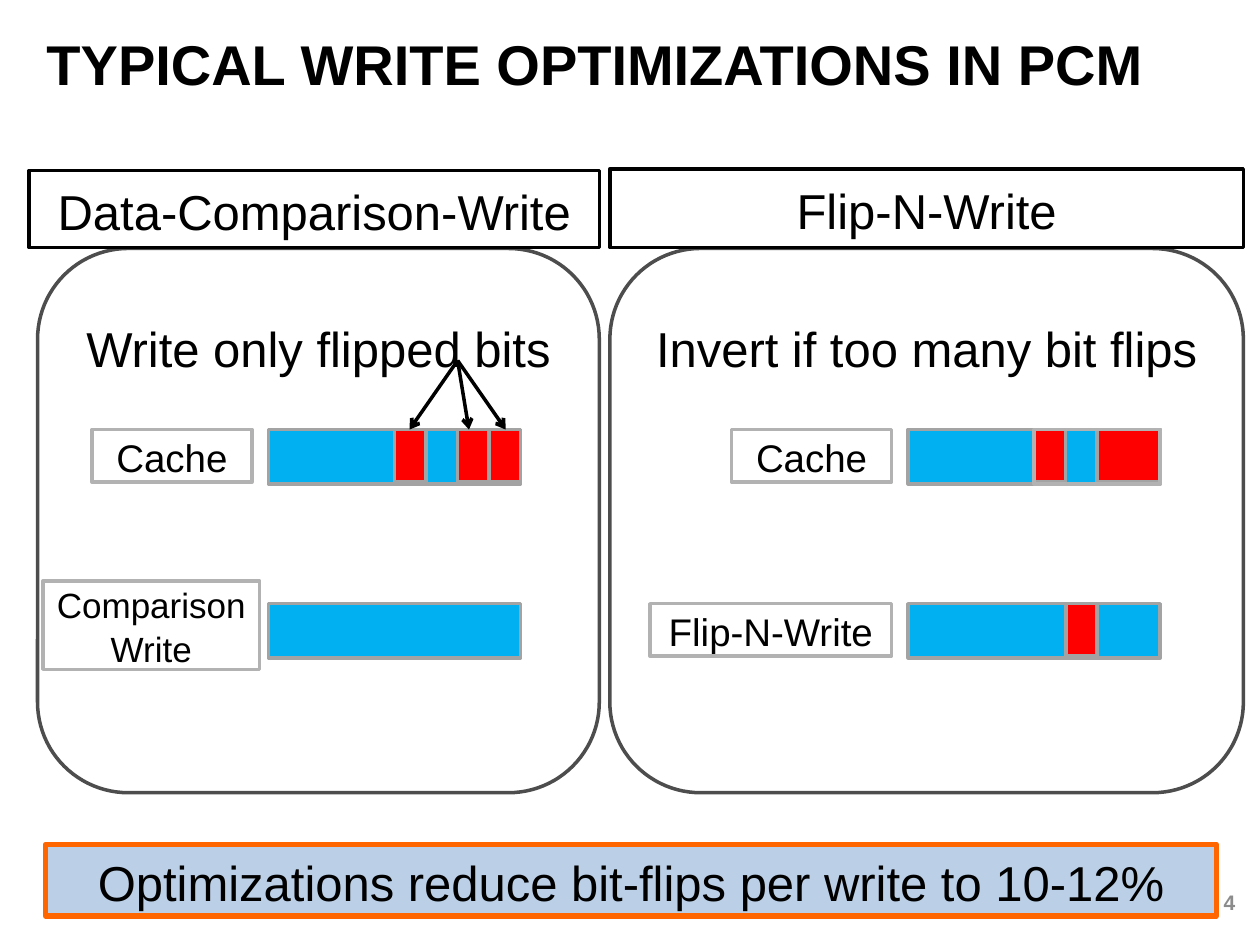
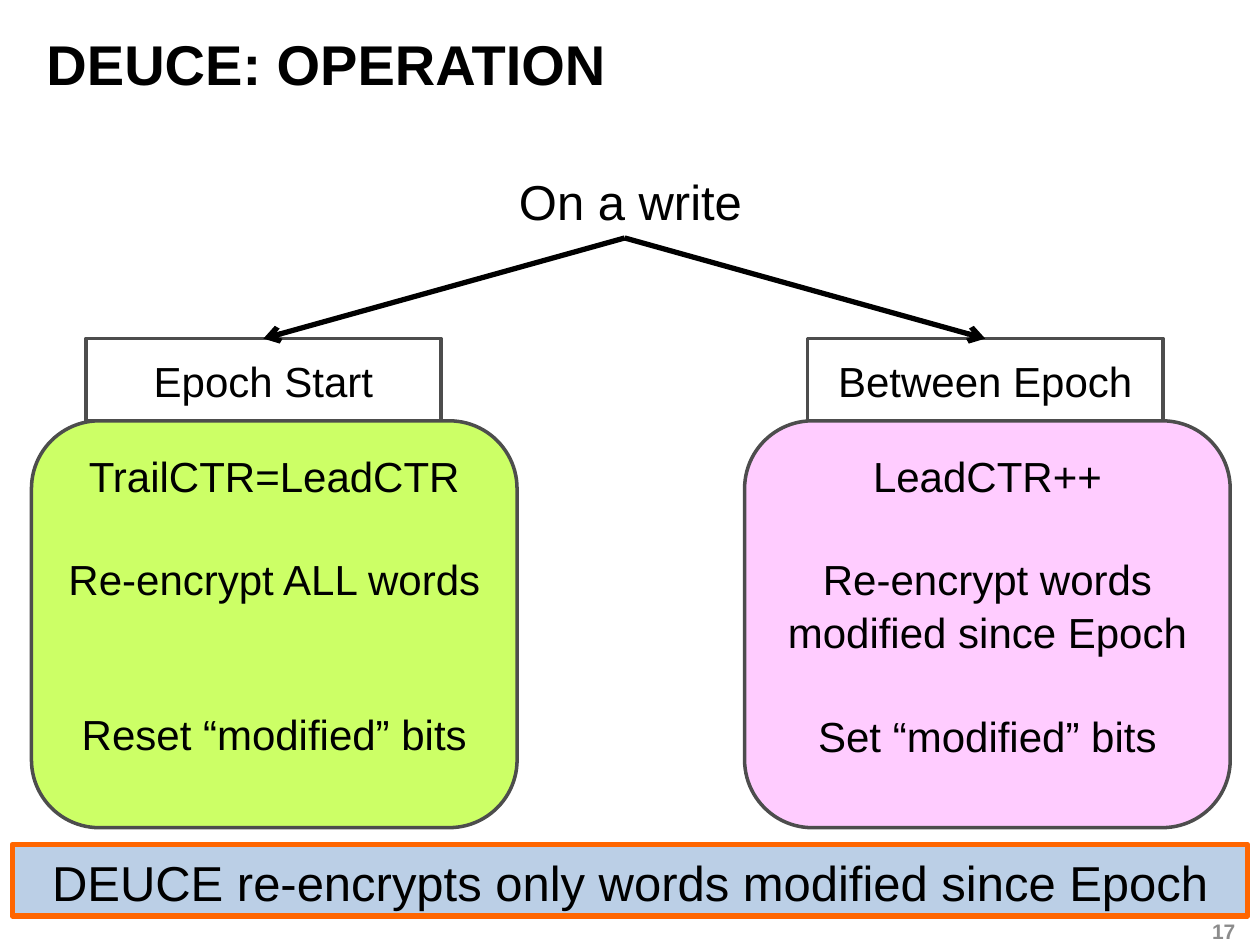
"""Build two slides on write optimizations in phase-change memory."""
import dataclasses

import pptx
import pptx.dml.color
import pptx.enum.shapes
import pptx.enum.text
import pptx.oxml.ns
import pptx.util
from lxml import etree

Pt = pptx.util.Pt
Align = pptx.enum.text.PP_ALIGN
Anchor = pptx.enum.text.MSO_ANCHOR
Shape = pptx.enum.shapes.MSO_SHAPE


@dataclasses.dataclass(frozen=True)
class Theme:
    """Colours, font and type sizes shared by the slides."""
    font: str = "Arial"
    ink: str = "000000"
    paper: str = "FFFFFF"
    frame: str = "4D4D4D"
    label_line: str = "B2B2B2"
    bit_line: str = "A3A3A3"
    kept: str = "00B0F0"
    flipped: str = "FF0000"
    banner: str = "BBCFE6"
    banner_line: str = "FF6600"
    epoch_start: str = "CCFF66"
    between_epoch: str = "FFCCFF"
    number: str = "8C8C8C"
    title_size: int = 32
    heading_size: int = 28
    body_size: int = 24
    label_size: int = 22
    small_size: int = 20
    number_size: int = 12
    line_width: int = 2
    heavy_width: int = 3
    line_spacing: float = 1.05


THEME = Theme()
BIT_WIDTH = 18
WORD_BITS = 8
BAR_HEIGHT = 31
CACHE_TOP = 103.5
WRITE_TOP = 203


def apply(target, values):
    """Set every attribute named in a dict of format values."""
    for name, value in values.items():
        setattr(target, name, value)


def rgb(colour):
    """Turn a hex string into a colour."""
    return pptx.dml.color.RGBColor.from_string(colour)


def write(shape, lines, size, gaps=(), colour=THEME.ink, bold=False,
          align=Align.CENTER, anchor=Anchor.MIDDLE, inset=3.6):
    """Fill a shape with paragraphs, with gaps between them in points."""
    frame = shape.text_frame
    apply(frame, {"word_wrap": True, "vertical_anchor": anchor,
                  "margin_top": Pt(inset), "margin_bottom": Pt(3.6)})
    for index, line in enumerate(lines):
        paragraph = frame.add_paragraph() if index else frame.paragraphs[0]
        apply(paragraph, {"text": line, "alignment": align,
                          "line_spacing": THEME.line_spacing})
        if index and gaps:
            paragraph.space_before = Pt(gaps[index - 1])
        apply(paragraph.font, {"name": THEME.font, "size": Pt(size), "bold": bold})
        paragraph.font.color.rgb = rgb(colour)


def add_box(slide, box, fill=THEME.paper, line=None, width=THEME.line_width,
            kind=Shape.RECTANGLE):
    """Add a shape; a fill or line of None leaves that part out."""
    shape = slide.shapes.add_shape(kind, *map(Pt, box))
    shape.shadow.inherit = False
    if fill:
        shape.fill.solid()
        shape.fill.fore_color.rgb = rgb(fill)
    else:
        shape.fill.background()
    if line:
        shape.line.color.rgb = rgb(line)
        shape.line.width = Pt(width)
    else:
        shape.line.fill.background()
    return shape


def add_arrow(slide, start, end, width):
    """Add a straight arrow from start to end."""
    connector = slide.shapes.add_connector(
        pptx.enum.shapes.MSO_CONNECTOR.STRAIGHT, *map(Pt, (*start, *end)))
    apply(connector.line, {"width": Pt(width)})
    connector.line.color.rgb = rgb(THEME.ink)
    name = pptx.oxml.ns.qn
    outline = connector.line._get_or_add_ln()
    etree.SubElement(outline, name("a:tailEnd"), type="arrow")
    etree.SubElement(connector._element.spPr, name("a:effectLst"))


def add_chrome(slide, title, number, number_box, message, message_box):
    """Add the title, slide number and message banner."""
    title_box = slide.shapes.add_textbox(*map(Pt, (19.5, 16, 700, 38)))
    write(title_box, [title], THEME.title_size, bold=True, align=Align.LEFT)
    number_text = slide.shapes.add_textbox(*map(Pt, number_box))
    write(number_text, [number], THEME.number_size, colour=THEME.number,
          bold=True, align=Align.RIGHT)
    banner = add_box(slide, message_box, THEME.banner, THEME.banner_line,
                     THEME.heavy_width)
    write(banner, [message], THEME.heading_size)


def add_word(slide, left, top, flips):
    """Draw a word as a bar, with (first bit, bit count) runs flipped."""
    add_box(slide, (left, top, WORD_BITS * BIT_WIDTH, BAR_HEIGHT),
            THEME.kept, THEME.bit_line)
    for first, count in flips:
        add_box(slide, (left + first * BIT_WIDTH, top, count * BIT_WIDTH, 30),
                THEME.flipped, THEME.bit_line)


def add_label(slide, right, top, width, height, text, size=THEME.label_size):
    """Add a boxed label that ends at the given right edge."""
    label = add_box(slide, (right - width, top, width, height),
                    line=THEME.label_line)
    write(label, [text], size)


def add_scheme(slide, box, heading, heading_box, rule, word_offset,
               cache_flips, write_flips):
    """Add a write scheme: heading, rule, and words before and after."""
    left, top, _, _ = box
    panel = add_box(slide, box, line=THEME.frame, kind=Shape.ROUNDED_RECTANGLE)
    write(panel, [rule], THEME.heading_size, anchor=Anchor.TOP, inset=23)
    header = add_box(slide, heading_box, line=THEME.ink)
    write(header, [heading], THEME.heading_size)
    word_left = left + word_offset
    add_word(slide, word_left, top + CACHE_TOP, cache_flips)
    add_word(slide, word_left, top + WRITE_TOP, write_flips)
    add_label(slide, word_left - 9.5, top + CACHE_TOP, 91.5, 30, "Cache")
    return word_left


def build_optimizations(slide):
    """Compare two ways of writing fewer bits."""
    top = 142
    left_word = add_scheme(
        slide, (21.5, top, 321, 311), "Data-Comparison-Write",
        (16.5, 97.5, 326, 44), "Write only flipped bits", 132,
        [(4, 1), (6, 1), (7, 1)], [])
    add_label(slide, left_word - 5, top + 190, 124, 50.5, "Comparison Write",
              THEME.small_size)
    for tip in (80.5, 114.5, 135.5):
        add_arrow(slide, (left_word + 108, top + 64),
                  (left_word + tip, top + CACHE_TOP), THEME.line_width)

    right_word = add_scheme(
        slide, (348.5, top, 362, 311), "Flip-N-Write",
        (348.5, 96.5, 362, 45), "Invert if too many bit flips", 170.5,
        [(4, 1), (6, 2)], [(5, 1)])
    add_label(slide, right_word - 9.5, top + WRITE_TOP, 138, 30, "Flip-N-Write")
    half = WORD_BITS * BIT_WIDTH / 2
    add_box(slide, (right_word + half, top + CACHE_TOP, half, BAR_HEIGHT),
            None, THEME.label_line)
    add_chrome(slide, "TYPICAL WRITE OPTIMIZATIONS IN PCM", "4",
               (545, 500.5, 168, 29),
               "Optimizations reduce bit-flips per write to 10-12%",
               (26, 482.5, 669, 41))


def add_branch(slide, box, header_offset, heading, fill, steps, gaps, start):
    """Add a branch: arrow, heading tab and a card of steps."""
    left, top, _, _ = box
    width, height = 203, 47
    tab_left, tab_top = left + header_offset, top - height
    tab = add_box(slide, (tab_left, tab_top, width, height), line=THEME.frame)
    write(tab, [heading], THEME.body_size)
    card = add_box(slide, box, fill, THEME.frame, kind=Shape.ROUNDED_RECTANGLE)
    write(card, steps, THEME.body_size, gaps, anchor=Anchor.TOP, inset=4)
    add_arrow(slide, start, (tab_left + width / 2, tab_top), THEME.heavy_width)


def build_operation(slide):
    """Show what happens on a write, at and between epochs."""
    root = add_box(slide, (272, 96.5, 176.5, 35), kind=Shape.ROUNDED_RECTANGLE)
    write(root, ["On a write"], THEME.heading_size)
    start, top, width, height = (357, 136), 240.5, 277.5, 232.5
    blank_line = 29
    add_branch(slide, (18, top, width, height), 31, "Epoch Start",
               THEME.epoch_start,
               ["TrailCTR=LeadCTR", "Re-encrypt ALL words",
                "Reset “modified” bits"],
               (blank_line, 2 * blank_line), start)
    add_branch(slide, (425.5, top, width, height), 36, "Between Epoch",
               THEME.between_epoch,
               ["LeadCTR++", "Re-encrypt words modified since Epoch",
                "Set “modified” bits"],
               (blank_line, blank_line), start)
    add_chrome(slide, "DEUCE: OPERATION", "17", (545, 523.5, 168, 16.5),
               "DEUCE re-encrypts only words modified since Epoch",
               (7, 482.5, 706, 41))


def main():
    """Build the slides and save the file."""
    presentation = pptx.Presentation()
    apply(presentation, {"slide_width": Pt(720), "slide_height": Pt(540)})
    for build in (build_optimizations, build_operation):
        build(presentation.slides.add_slide(presentation.slide_layouts[6]))
    presentation.save("out.pptx")


if __name__ == "__main__":
    main()
